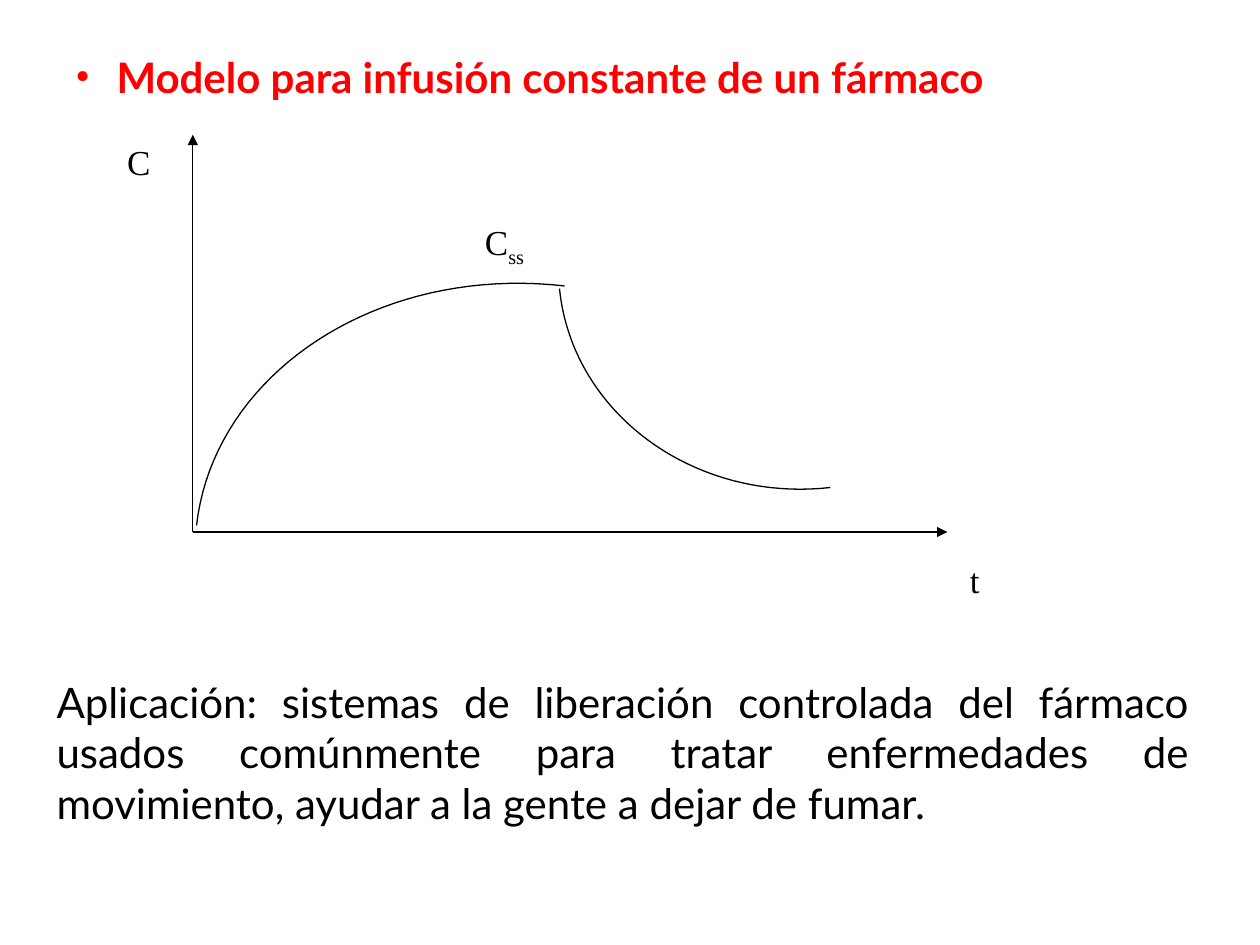
from dataclasses import dataclass
from typing import Any

from lxml import etree
from pptx import Presentation
from pptx.dml.color import RGBColor
from pptx.enum.shapes import MSO_CONNECTOR
from pptx.enum.text import PP_ALIGN
from pptx.oxml.ns import qn
from pptx.util import Pt

STRAIGHT = MSO_CONNECTOR.STRAIGHT
LEFT, JUSTIFY = PP_ALIGN.LEFT, PP_ALIGN.JUSTIFY


def rgb(value):
    return RGBColor.from_string(value)


def bezier(p0, p1, p2, p3, steps=40):
    for i in range(steps + 1):
        t = i / steps
        u = 1 - t
        yield tuple(Pt(u**3 * a + 3 * u * u * t * b + 3 * u * t * t * c + t**3 * d)
                    for a, b, c, d in zip(p0, p1, p2, p3))


@dataclass
class Deck:
    """Draws styled elements on the current slide, in points."""
    s: Any
    ink: str = "000000"
    accent: str = "FF0000"
    body: str = "Lato"
    serif: str = "Times New Roman"
    weight: float = 0.75

    def text(self, box, wrap=True, align=LEFT):
        tf = self.s.shapes.add_textbox(*map(Pt, box)).text_frame
        tf.word_wrap = wrap
        p = tf.paragraphs[0]
        p.alignment = align
        return p

    def run(self, p, text, font, size, color, bold=False, baseline=0):
        r = p.add_run()
        r.text = text
        r.font.name, r.font.size, r.font.bold = font, Pt(size), bold
        r.font.color.rgb = rgb(color)
        if baseline:
            r._r.get_or_add_rPr().set("baseline", str(baseline * 1000))

    def heading(self, box, text, indent):
        p = self.text(box)
        pPr = p._p.get_or_add_pPr()
        pPr.set("marL", str(Pt(indent)))
        pPr.set("indent", str(-Pt(indent)))
        color = etree.SubElement(pPr, qn("a:buClr"))
        etree.SubElement(color, qn("a:srgbClr"), val=self.accent)
        etree.SubElement(pPr, qn("a:buFont"), typeface=self.serif)
        etree.SubElement(pPr, qn("a:buChar"), char="•")
        self.run(p, text, self.body, 24, self.accent, bold=True)

    def paragraph(self, box, text):
        self.run(self.text(box, align=JUSTIFY), text, self.body, 24, self.ink)

    def label(self, box, text, sub=""):
        p = self.text(box, wrap=False)
        self.run(p, text, self.serif, 20, self.ink)
        if sub:
            self.run(p, sub, self.serif, 20, self.ink, baseline=-25)

    def stroke(self, line):
        line.color.rgb = rgb(self.ink)
        line.width = Pt(self.weight)

    def axis(self, start, end):
        c = self.s.shapes.add_connector(STRAIGHT, *map(Pt, start + end))
        self.stroke(c.line)
        etree.SubElement(c.line._get_or_add_ln(), qn("a:tailEnd"), type="triangle")
        etree.SubElement(c._element.spPr, qn("a:effectLst"))

    def curve(self, *controls):
        start, *rest = bezier(*controls)
        builder = self.s.shapes.build_freeform(*start)
        builder.add_line_segments(rest, close=False)
        sp = builder.convert_to_shape()
        sp.shadow.inherit = False
        sp.fill.background()
        self.stroke(sp.line)


def main():
    prs = Presentation()
    prs.slide_width, prs.slide_height = Pt(720), Pt(540)
    deck = Deck(prs.slides.add_slide(prs.slide_layouts[6]))

    deck.heading((36, 26, 589, 36), "Modelo para infusión constante de un fármaco", 23.5)

    origin = (110.2, 304)
    deck.axis(origin, (541.4, 304))
    deck.axis(origin, (110.2, 77))
    deck.label((65.5, 77, 27.4, 31.7), "C")
    deck.label((547.2, 315.4, 19.4, 31.7), "t")
    deck.label((270, 122.4, 36.7, 34.6), "C", "ss")
    deck.curve((112.3, 300.2), (122.4, 213.1), (216, 151.2), (322.6, 163.4))
    deck.curve((319.7, 164.9), (326.9, 236.2), (396.7, 287.3), (474.5, 278.6))

    deck.paragraph((25.2, 383, 661, 93.6),
                   "Aplicación: sistemas de liberación controlada del fármaco usados "
                   "comúnmente para tratar enfermedades de movimiento, ayudar a la "
                   "gente a dejar de fumar.")
    prs.save("out.pptx")


if __name__ == "__main__":
    main()
